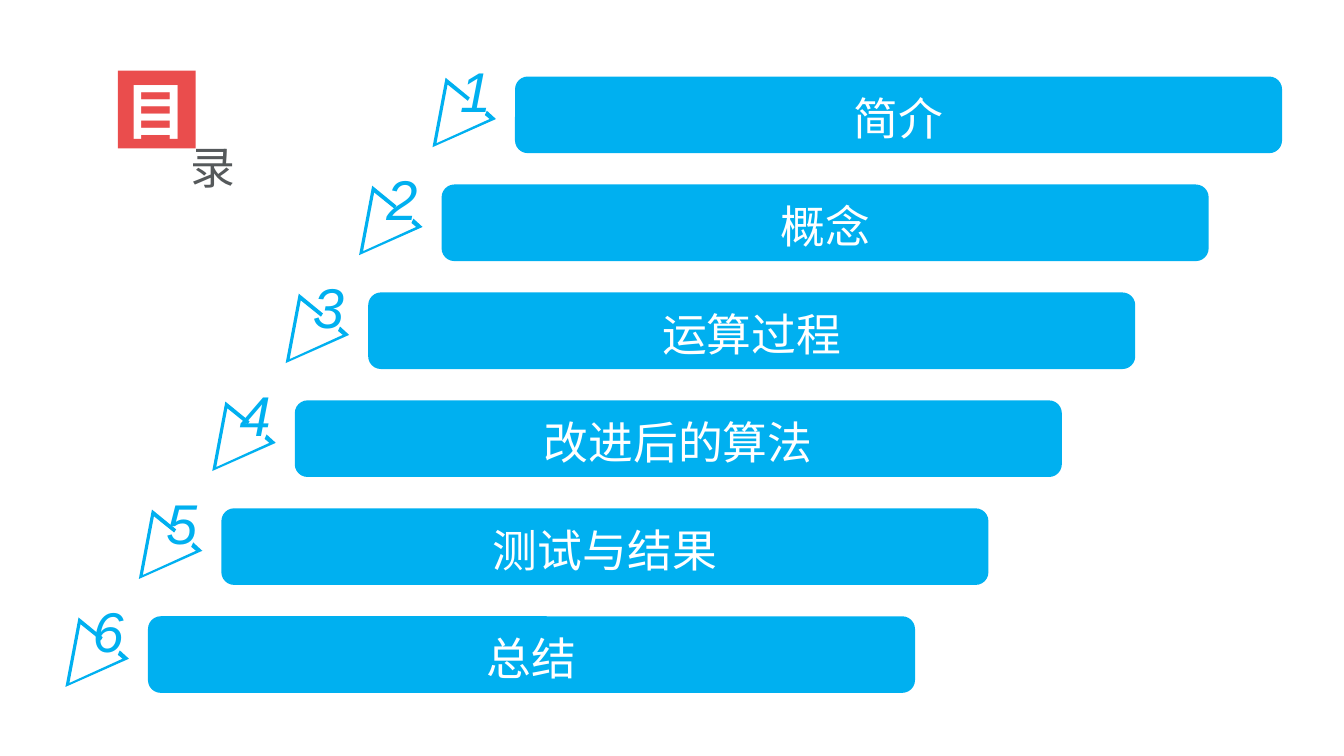
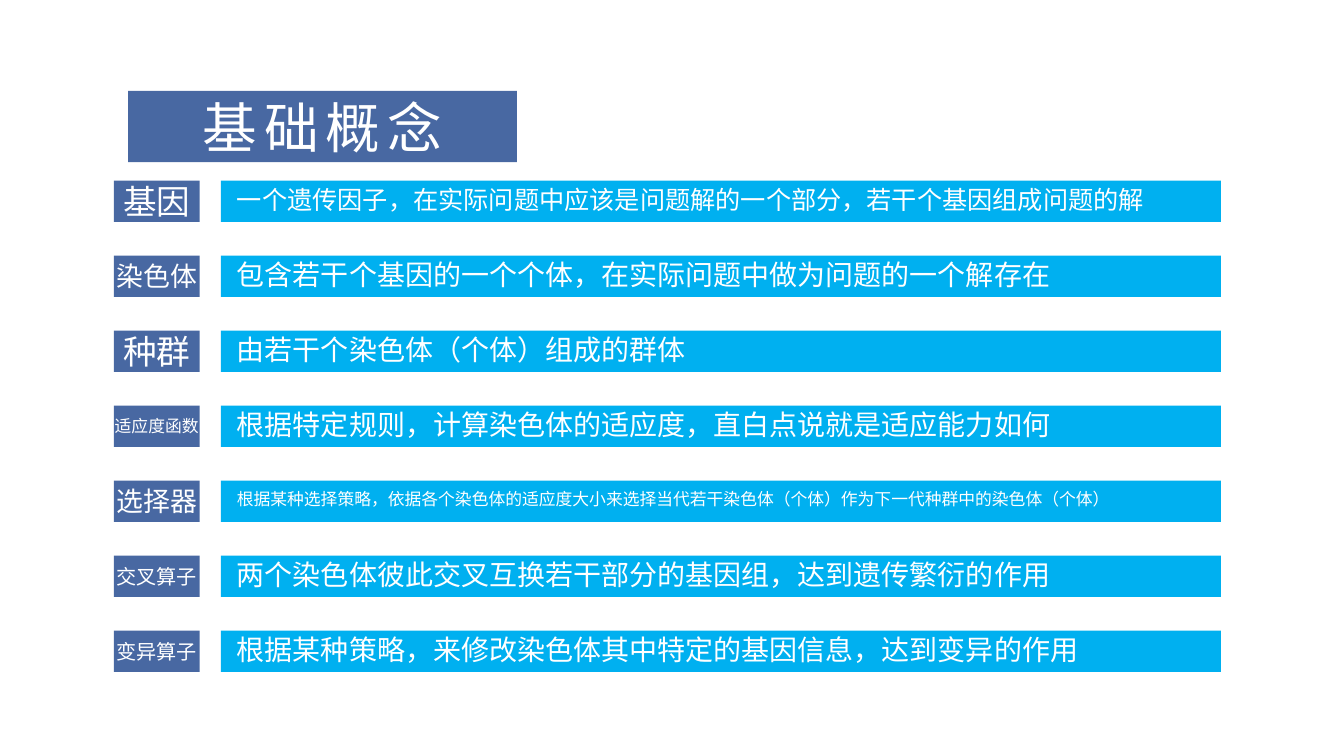
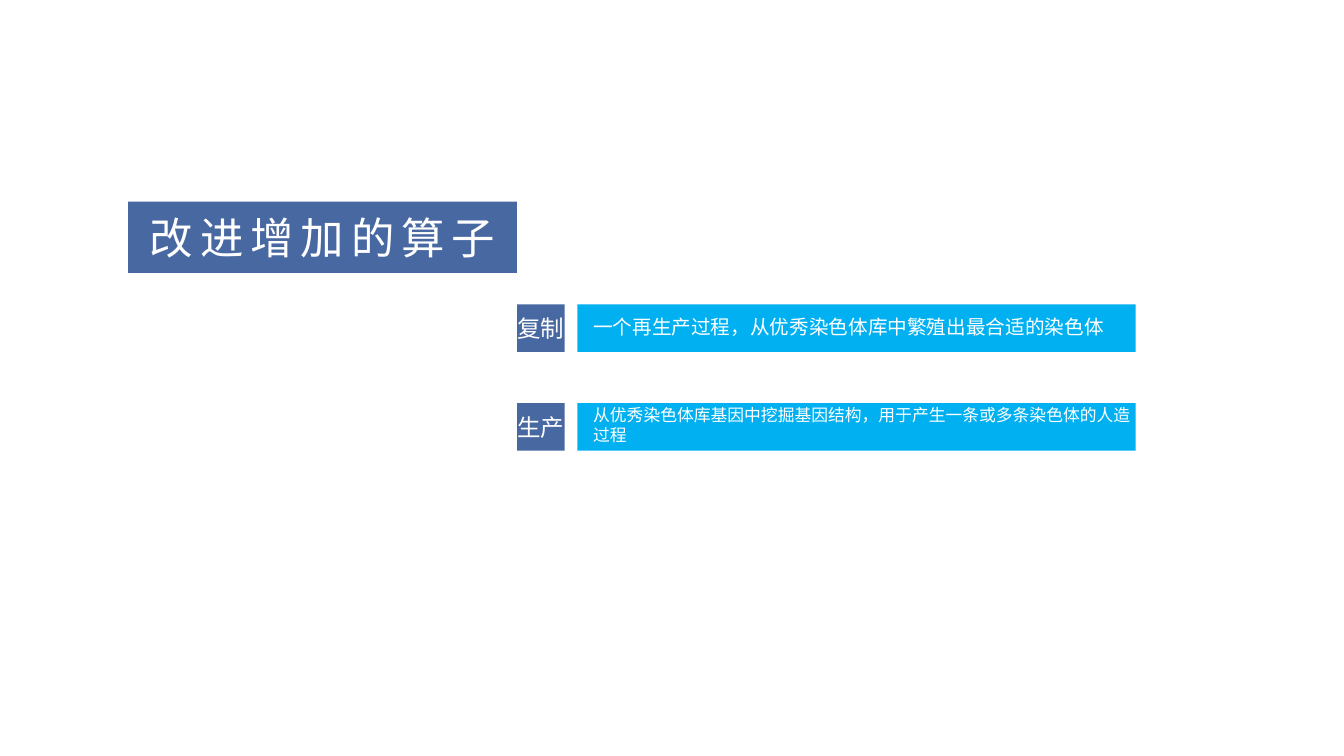
import dataclasses

import pptx
import pptx.dml.color
import pptx.enum.shapes
import pptx.enum.text
import pptx.shapes.autoshape
import pptx.slide
import pptx.util

Cm = pptx.util.Cm
Shape = pptx.shapes.autoshape.Shape
Slide = pptx.slide.Slide
Kind = pptx.enum.shapes.MSO_SHAPE
Align = pptx.enum.text.PP_ALIGN
Anchor = pptx.enum.text.MSO_ANCHOR


@dataclasses.dataclass(frozen=True)
class Theme:
    font: str = "Arial"
    white: str = "FFFFFF"
    sky: str = "00B0F0"
    navy: str = "4868A2"
    red: str = "EA4D4D"
    gray: str = "55595B"
    item: float = 32
    digit: float = 40
    mark: float = 44
    large: float = 24
    mid: float = 19.2
    small: float = 14.4
    tiny: float = 12
    pair: float = 16.8
    body: float = 20
    dense: float = 18
    note: float = 14
    head: float = 39
    long: float = 31
    track: float = 5


THEME = Theme()


@dataclasses.dataclass(frozen=True)
class Box:
    left: float
    top: float
    width: float
    height: float


@dataclasses.dataclass(frozen=True)
class Style:
    size: float
    color: str = THEME.white
    align: Align = Align.CENTER
    anchor: Anchor = Anchor.MIDDLE
    inset: tuple[float, float, float, float] = (0, 0, 0, 0)
    wrap: bool = True
    bold: bool = False
    slant: bool = False
    lead: float = 1.0
    track: float = 0


@dataclasses.dataclass(frozen=True)
class Term:
    name: str
    size: float
    text: str
    scale: float


@dataclasses.dataclass(frozen=True)
class Grid:
    left: float
    top: float
    step: float
    tag: float
    bar: float
    width: float
    height: float


ITEMS = ("简介", "概念", "运算过程", "改进后的算法", "测试与结果", "总结")
FIRST = Box(12.98, 1.93, 19.33, 1.93)
SHIFT = (-1.85, 2.72)
ARROW = (
    (-1.75, 0.03), (-1.14, 0.53), (-1.19, 0.61), (-1.7, 0.2), (-1.98, 1.68),
    (-0.64, 1.07), (-0.76, 0.97), (-0.71, 0.86), (-0.48, 1.07), (-2.08, 1.78),
)

BASICS = (
    Term("基因", THEME.large,
         "一个遗传因子，在实际问题中应该是问题解的一个部分，若干个基因组成问题的解", THEME.dense),
    Term("染色体", THEME.mid,
         "包含若干个基因的一个个体，在实际问题中做为问题的一个解存在", THEME.body),
    Term("种群", THEME.large, "由若干个染色体（个体）组成的群体", THEME.body),
    Term("适应度函数", THEME.tiny,
         "根据特定规则，计算染色体的适应度，直白点说就是适应能力如何", THEME.body),
    Term("选择器", THEME.mid,
         "根据某种选择策略，依据各个染色体的适应度大小来选择当代若干染色体（个体）"
         "作为下一代种群中的染色体（个体）", THEME.tiny),
    Term("交叉算子", THEME.small,
         "两个染色体彼此交叉互换若干部分的基因组，达到遗传繁衍的作用", THEME.body),
    Term("变异算子", THEME.small,
         "根据某种策略，来修改染色体其中特定的基因信息，达到变异的作用", THEME.body),
)
EXTRAS = (
    Term("复制", THEME.pair,
         "一个再生产过程，从优秀染色体库中繁殖出最合适的染色体", THEME.note),
    Term("生产", THEME.pair,
         "从优秀染色体库基因中挖掘基因结构，用于产生一条或多条染色体的人造过程", THEME.tiny),
)


def paint(shape: Shape, color: str) -> None:
    shape.shadow.inherit = False
    shape.fill.solid()
    shape.fill.fore_color.rgb = pptx.dml.color.RGBColor.from_string(color)
    shape.line.fill.background()


def write(shape: Shape, text: str, style: Style) -> None:
    frame = shape.text_frame
    frame.text = text
    frame.word_wrap = style.wrap
    frame.vertical_anchor = style.anchor
    (frame.margin_left, frame.margin_top,
     frame.margin_right, frame.margin_bottom) = map(Cm, style.inset)
    line = frame.paragraphs[0]
    line.alignment = style.align
    line.line_spacing = style.lead
    run = line.runs[0]
    font = run.font
    font.name = THEME.font
    font.size = pptx.util.Pt(style.size)
    font.bold = style.bold
    font.italic = style.slant
    font.color.rgb = pptx.dml.color.RGBColor.from_string(style.color)
    if style.track:
        run._r.get_or_add_rPr().set("spc", str(int(style.track * 100)))


def block(slide: Slide, box: Box, color: str, text: str, style: Style,
          kind: Kind = Kind.RECTANGLE) -> None:
    shape = slide.shapes.add_shape(kind, *map(Cm, dataclasses.astuple(box)))
    paint(shape, color)
    write(shape, text, style)


def label(slide: Slide, box: Box, text: str, style: Style) -> None:
    shape = slide.shapes.add_textbox(*map(Cm, dataclasses.astuple(box)))
    write(shape, text, style)


def arrow(slide: Slide, left: float, top: float) -> None:
    dots = [(Cm(left + x), Cm(top + y)) for x, y in ARROW]
    pen = slide.shapes.build_freeform(*dots[0])
    pen.add_line_segments(dots[1:], close=True)
    paint(pen.convert_to_shape(), THEME.sky)


def banner(slide: Slide, top: float, text: str, size: float) -> None:
    style = Style(size, track=THEME.track, inset=(0.25, 0.13, 0.25, 0.13))
    block(slide, Box(3.23, top, 9.8, 1.8), THEME.navy, text, style)


def table(slide: Slide, grid: Grid, terms: tuple[Term, ...]) -> None:
    for row, term in enumerate(terms):
        top = grid.top + row * grid.step
        block(slide, Box(grid.left, top, grid.tag, grid.height), THEME.navy,
              term.name, Style(term.size, wrap=False))
        block(slide, Box(grid.bar, top, grid.width, grid.height), THEME.sky,
              term.text, Style(term.scale, align=Align.LEFT, inset=(0.4, 0, 0, 0.1)))


def agenda(slide: Slide) -> None:
    for row, text in enumerate(ITEMS):
        left = FIRST.left + row * SHIFT[0]
        top = FIRST.top + row * SHIFT[1]
        block(slide, dataclasses.replace(FIRST, left=left, top=top), THEME.sky,
              text, Style(THEME.item, lead=1.1), Kind.ROUNDED_RECTANGLE)
        arrow(slide, left, top)
        label(slide, Box(left - 1.65, top - 0.64, 1.3, 1.96), str(row + 1),
              Style(THEME.digit, THEME.sky, slant=True))
    label(slide, Box(4.6, 3.38, 1.55, 1.62), "录",
          Style(THEME.item, THEME.gray, anchor=Anchor.TOP, inset=(0, 0.13, 0, 0.13)))
    block(slide, Box(2.97, 1.78, 1.96, 1.96), THEME.red, "目",
          Style(THEME.mark, bold=True))


def basics(slide: Slide) -> None:
    banner(slide, 2.29, "基础概念", THEME.head)
    table(slide, Grid(2.87, 4.55, 1.89, 2.16, 5.57, 25.2, 1.04), BASICS)


def extras(slide: Slide) -> None:
    banner(slide, 5.08, "改进增加的算子", THEME.long)
    table(slide, Grid(13.03, 7.67, 2.49, 1.2, 14.55, 14.07, 1.2), EXTRAS)


def main() -> None:
    deck = pptx.Presentation()
    deck.slide_width = Cm(33.87)
    deck.slide_height = Cm(19.05)
    for draw in (agenda, basics, extras):
        draw(deck.slides.add_slide(deck.slide_layouts[6]))
    deck.save("out.pptx")


if __name__ == "__main__":
    main()
